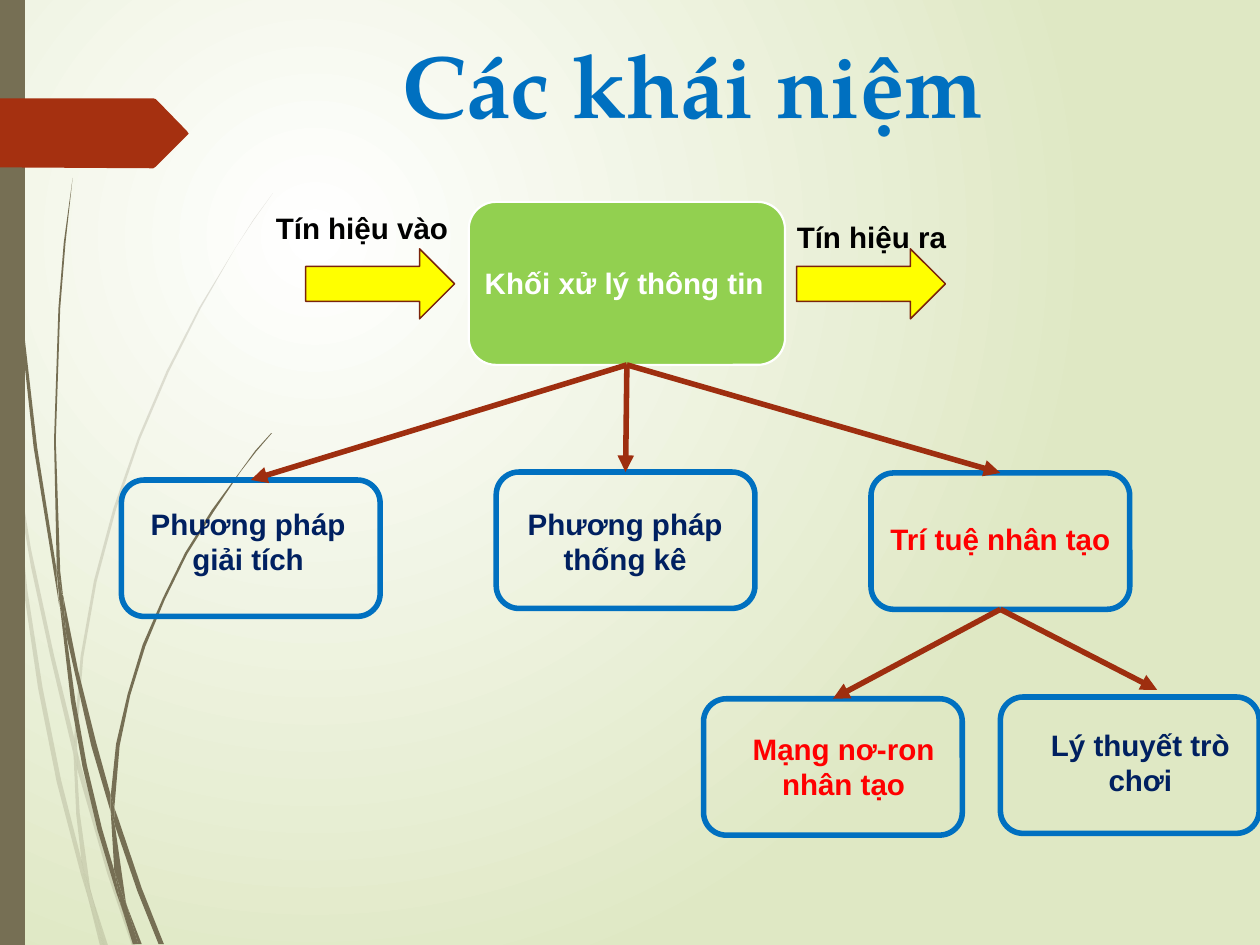
from dataclasses import dataclass

from lxml.etree import SubElement
from pptx import Presentation
from pptx.dml.color import RGBColor
from pptx.enum.shapes import MSO_CONNECTOR as Connector, MSO_SHAPE as Preset
from pptx.enum.text import MSO_ANCHOR as Anchor, PP_ALIGN as Align
from pptx.oxml.ns import qn
from pptx.util import Inches, Pt

OLIVE, RED_BROWN, ARROW_BROWN = "766F54", "A53010", "9E2E0F"
BLUE, NAVY, RED, WHITE, BLACK = "0070C0", "002060", "FF0000", "FFFFFF", "000000"
BOX_WIDTH, BOX_HEIGHT = 2.92, 1.54
TOP, BOTTOM = 0, 2

Point = tuple[float, float]


@dataclass
class Label:
    text: str
    left: float
    top: float
    width: float
    height: float
    color: str
    size: float = 24
    font: str = "Arial"


@dataclass
class Box:
    left: float
    top: float
    label: Label


# Outlines of the grass stems, as corner points in inches
PALE_STEMS: list[list[Point]] = [
    [(0.11, 4.98), (0.08, 4.58), (0, 4.01), (0, 4.26), (0.1, 4.89)],
    [(0.57, 7.42), (0.83, 8.52), (0.84, 8.34), (0.61, 7.4), (0.35, 6.2), (0.14, 4.91),
     (0.17, 5.35), (0.35, 6.4)],
    [(0.91, 8.63), (0.87, 8.47), (0.87, 8.68), (1.21, 9.86), (1.49, 10.68), (1.53, 10.68),
     (1.26, 9.83)],
    [(1.18, 10.68), (1.22, 10.68), (1.04, 10.12)],
    [(0.92, 9.71), (0.69, 8.81), (0.48, 7.76), (0.31, 6.67), (0.17, 5.34), (0.11, 4.98),
     (0.27, 6.68), (0.43, 7.77), (0.64, 8.83), (0.91, 9.86), (1, 10.16), (0.98, 10.06)],
    [(0.83, 8.52), (0.86, 9.19), (0.92, 9.71), (0.95, 9.84), (1.04, 10.12), (1.02, 10.04),
     (0.9, 9.18), (0.87, 8.68), (0.87, 8.65)],
    [(0.87, 8.3), (0.94, 7.42), (1.09, 6.57), (1.31, 5.75), (1.58, 4.96), (1.9, 4.21),
     (2.26, 3.49), (2.65, 2.81), (2.86, 2.49), (3.08, 2.18), (2.86, 2.48), (2.65, 2.81),
     (2.25, 3.47), (1.88, 4.19), (1.56, 4.94), (1.28, 5.74), (1.06, 6.56), (0.91, 7.41),
     (0.84, 8.3), (0.84, 8.34), (0.87, 8.47)],
    [(1, 10.16), (1.13, 10.68), (1.17, 10.68)],
    [(0.87, 8.65), (0.87, 8.47), (0.84, 8.34), (0.83, 8.52)],
    [(0.95, 9.84), (0.92, 9.71), (0.98, 10.06), (1, 10.16), (1.17, 10.68), (1.18, 10.68),
     (1.04, 10.11)],
]
DARK_STEMS: list[list[Point]] = [
    [(0.08, 1.56), (0.19, 3.31), (0.38, 5.05), (0.66, 6.78), (0.67, 6.85), (0.64, 6.5),
     (0.64, 6.44), (0.42, 5.05), (0.22, 3.3), (0.09, 1.56), (0.05, 0.68), (0.04, 0),
     (0.03, 0), (0.04, 0.68)],
    [(1.03, 8.42), (1.25, 9.17), (1.25, 8.98), (1.09, 8.4), (0.88, 7.56), (0.71, 6.71),
     (0.75, 7.18)],
    [(1.33, 9.23), (1.29, 9.12), (1.3, 9.33), (1.55, 10.06), (1.79, 10.66), (1.85, 10.66),
     (1.6, 10.03)],
    [(1.29, 9.83), (1.15, 9.35), (0.98, 8.64), (0.85, 7.91), (0.75, 7.18), (0.67, 6.79),
     (0.8, 7.92), (0.93, 8.65), (1.1, 9.37), (1.31, 10.07), (1.38, 10.27), (1.36, 10.2)],
    [(0.71, 6.71), (0.68, 6.45), (0.63, 4.97), (0.68, 3.48), (0.74, 2.74), (0.82, 2.01),
     (0.72, 2.74), (0.66, 3.48), (0.61, 4.97), (0.64, 6.39), (0.7, 6.71)],
    [(1.56, 10.66), (1.6, 10.66), (1.43, 10.22)],
    [(0.67, 6.79), (0.75, 7.18), (0.71, 6.72), (0.7, 6.71), (0.64, 6.39), (0.64, 6.45)],
    [(1.3, 9.01), (1.35, 8.42), (1.47, 7.85), (1.64, 7.3), (1.86, 6.77), (2.11, 6.26),
     (2.41, 5.78), (2.72, 5.32), (2.89, 5.1), (3.07, 4.89), (3.06, 4.89), (2.88, 5.09),
     (2.72, 5.31), (2.39, 5.76), (2.09, 6.24), (1.84, 6.75), (1.61, 7.28), (1.44, 7.84),
     (1.31, 8.4), (1.25, 8.98), (1.29, 9.12)],
    [(1.38, 10.27), (1.5, 10.66), (1.54, 10.66)],
    [(1.25, 9.17), (1.29, 9.83), (1.36, 10.04), (1.43, 10.22), (1.42, 10.18), (1.3, 9.34),
     (1.28, 9.25)],
    [(1.25, 9.17), (1.28, 9.25), (1.3, 9.33), (1.29, 9.12), (1.25, 8.98)],
    [(1.36, 10.04), (1.29, 9.83), (1.36, 10.2), (1.38, 10.27), (1.53, 10.66), (1.56, 10.66),
     (1.43, 10.22)],
]
RIBBON: list[Point] = [(2.11, 1.53), (1.76, 1.88), (1.73, 1.9), (0, 1.89), (0, 1.11),
                       (1.73, 1.11), (1.76, 1.12), (2.11, 1.48), (2.13, 1.51)]

TITLE = Label("Các khái niệm", 2.19, 0.29, 11.26, 1.99, BLUE, 72, "TeX Gyre Pagella")
SIGNAL_LABELS = [
    Label("Tín hiệu vào", 2.91, 2.32, 2.35, 0.5, BLACK),
    Label("Tín hiệu ra", 8.66, 2.42, 2.35, 0.5, BLACK),
    Label("Khối xử lý thông tin", 5.26, 2.94, 3.57, 0.5, WHITE),
]
BOXES = [
    Box(1.37, 5.42, Label("Phương pháp giải tích", 1.51, 5.66, 2.58, 0.91, NAVY)),
    Box(5.6, 5.33, Label("Phương pháp thống kê", 5.71, 5.66, 2.69, 0.91, NAVY)),
    Box(9.83, 5.34, Label("Trí tuệ nhân tạo", 9.83, 5.83, 2.92, 0.5, RED)),
    Box(7.94, 7.89, Label("Mạng nơ-ron nhân tạo", 8.06, 8.2, 2.92, 0.91, RED)),
    Box(11.29, 7.87, Label("Lý thuyết trò chơi", 11.41, 8.16, 2.92, 0.91, NAVY)),
]


def rgb(color: str) -> RGBColor:
    return RGBColor.from_string(color)


def paint(shape, fill: str | None, line: str | None = None, weight: float = 1) -> None:
    shape.shadow.inherit = False
    if fill:
        shape.fill.solid()
        shape.fill.fore_color.rgb = rgb(fill)
    else:
        shape.fill.background()
    if line:
        shape.line.color.rgb = rgb(line)
        shape.line.width = Pt(weight)
    else:
        shape.line.fill.background()


def add_preset(slide, preset, left: float, top: float, width: float, height: float):
    return slide.shapes.add_shape(preset, Inches(left), Inches(top), Inches(width), Inches(height))


def add_outline(slide, points: list[Point], color: str, opacity: int = 100) -> None:
    corners = [(Inches(x), Inches(y)) for x, y in points]
    builder = slide.shapes.build_freeform(*corners[0])
    builder.add_line_segments(corners[1:], close=True)
    shape = builder.convert_to_shape()
    paint(shape, color)
    if opacity < 100:
        fill_color = shape._element.spPr.find(qn("a:solidFill")).find(qn("a:srgbClr"))
        SubElement(fill_color, qn("a:alpha"), val=str(opacity * 1000))


def add_label(slide, label: Label) -> None:
    text_box = slide.shapes.add_textbox(Inches(label.left), Inches(label.top),
                                        Inches(label.width), Inches(label.height))
    frame = text_box.text_frame
    frame.word_wrap = True
    frame.vertical_anchor = Anchor.TOP
    paragraph = frame.paragraphs[0]
    paragraph.alignment = Align.CENTER
    run = paragraph.add_run()
    run.text = label.text
    run.font.name, run.font.size, run.font.bold = label.font, Pt(label.size), True
    run.font.color.rgb = rgb(label.color)


def add_arrow(slide, source, target=None, end: Point = (0, 0)) -> None:
    arrow = slide.shapes.add_connector(Connector.STRAIGHT, 0, 0, Inches(end[0]), Inches(end[1]))
    arrow.begin_connect(source, BOTTOM)
    if target is not None:
        arrow.end_connect(target, TOP)
    arrow.line.color.rgb = rgb(ARROW_BROWN)
    arrow.line.width = Pt(4.5)
    SubElement(arrow.line._get_or_add_ln(), qn("a:tailEnd"), type="triangle")
    SubElement(arrow._element.spPr, qn("a:effectLst"))


def set_background(slide) -> None:
    fill = slide.background.fill
    fill.gradient()
    for stop, color in zip(fill.gradient_stops, (WHITE, "DFE8C4")):
        stop.color.rgb = rgb(color)
    gradient = slide._element.find(".//" + qn("a:gradFill"))
    gradient.remove(gradient.find(qn("a:lin")))
    circle = SubElement(gradient, qn("a:path"), path="circle")
    SubElement(circle, qn("a:fillToRect"), l="50000", t="50000", r="100000", b="100000")


def main() -> None:
    presentation = Presentation()
    presentation.slide_width, presentation.slide_height = Inches(14.22), Inches(10.67)
    slide = presentation.slides.add_slide(presentation.slide_layouts[6])

    # Backdrop: gradient, stems, side bar and ribbon
    set_background(slide)
    for stems, opacity in ((PALE_STEMS, 20), (DARK_STEMS, 100)):
        for stem in stems:
            add_outline(slide, stem, OLIVE, opacity)
    paint(add_preset(slide, Preset.RECTANGLE, 0, 0, 0.28, 10.67), OLIVE)
    add_outline(slide, RIBBON, RED_BROWN)
    add_label(slide, TITLE)

    # Processing block with its input and output
    processor = add_preset(slide, Preset.ROUNDED_RECTANGLE, 5.29, 2.28, 3.57, 1.84)
    paint(processor, "92D050", WHITE, 1.75)
    for left in (3.45, 8.99):
        signal = add_preset(slide, Preset.RIGHT_ARROW, left, 2.81, 1.68, 0.79)
        paint(signal, "FFFF00", "7A240C", 1.25)
    for label in SIGNAL_LABELS:
        add_label(slide, label)

    # Method boxes
    methods = []
    for box in BOXES:
        method = add_preset(slide, Preset.ROUNDED_RECTANGLE, box.left, box.top,
                            BOX_WIDTH, BOX_HEIGHT)
        paint(method, None, BLUE, 4.5)
        add_label(slide, box.label)
        methods.append(method)

    # Arrows from each block to its branches
    analytic, statistical, intelligence, neural_network, _ = methods
    for branch in (analytic, statistical, intelligence):
        add_arrow(slide, processor, branch)
    add_arrow(slide, intelligence, neural_network)
    add_arrow(slide, intelligence, end=(13.06, 7.79))

    presentation.save("out.pptx")


if __name__ == "__main__":
    main()
